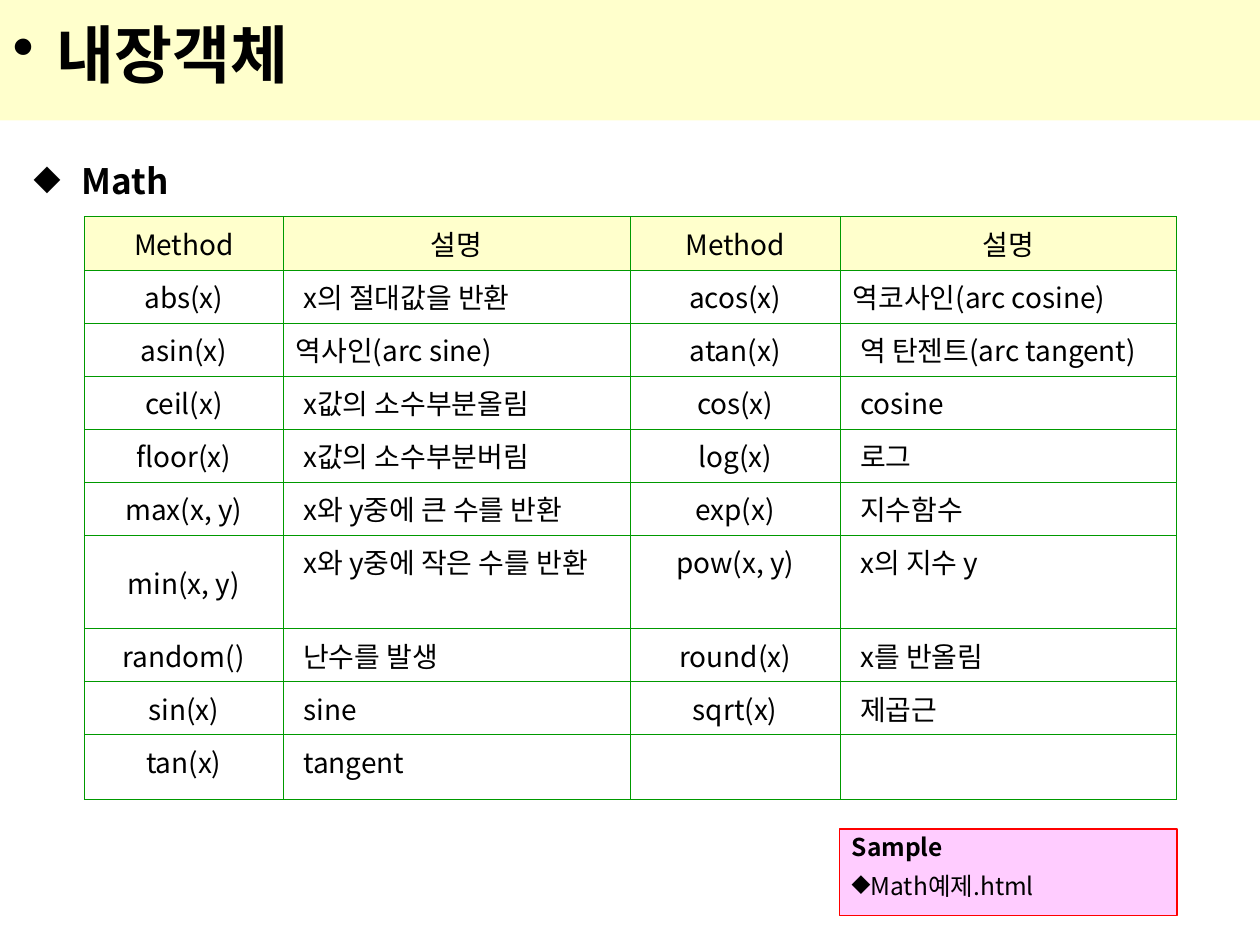
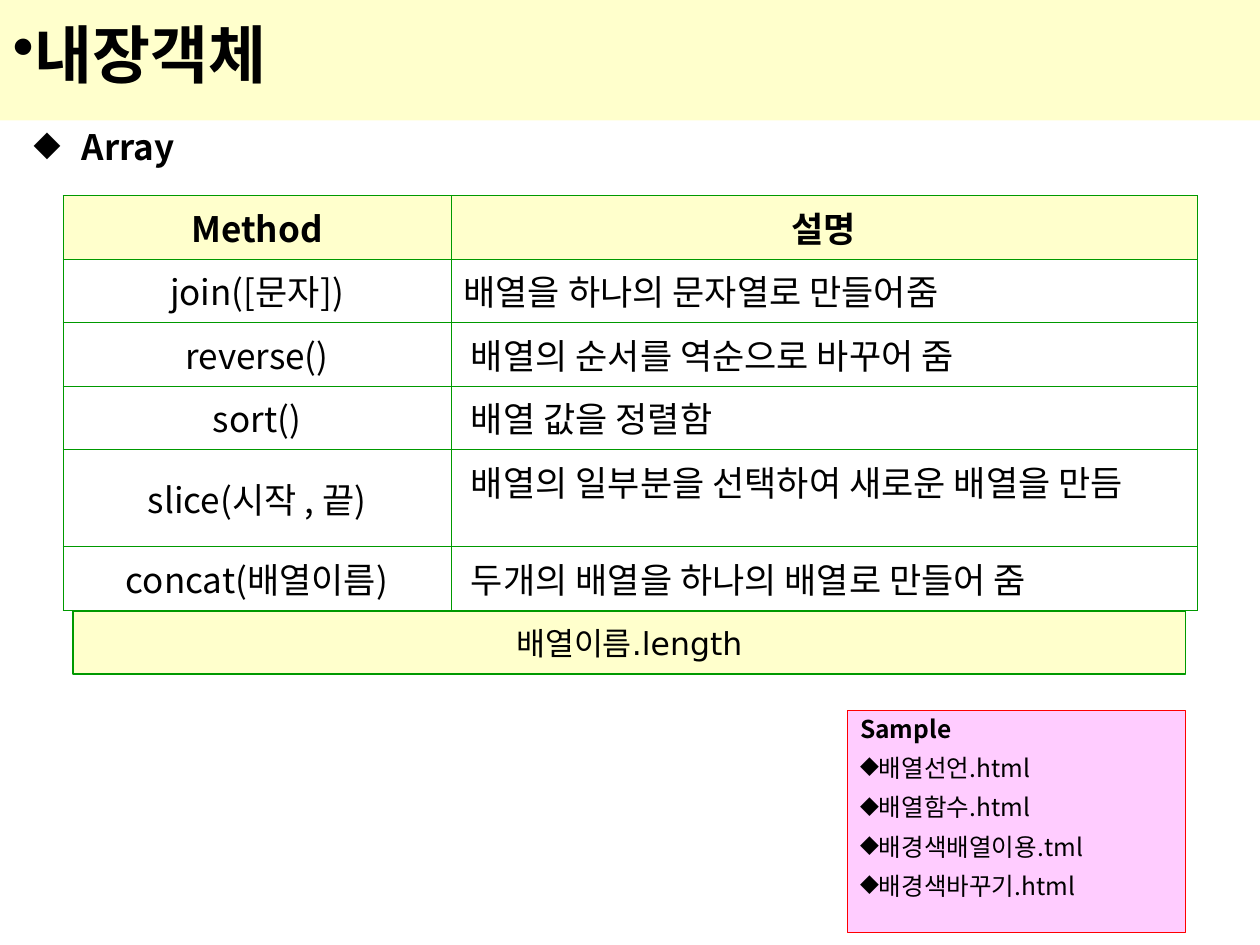
import pptx
import pptx.dml.color
import pptx.enum.shapes
import pptx.enum.text
import pptx.oxml.ns
import pptx.util
from lxml import etree

Cm = pptx.util.Cm
Pt = pptx.util.Pt
ALIGN = pptx.enum.text.PP_ALIGN
ANCHOR = pptx.enum.text.MSO_ANCHOR

# Shared look
FONT = "Noto Sans CJK KR"
BLACK, CREAM, GREEN = "000000", "FFFFCC", "009900"
PINK, RED = "FFCCFF", "FF0000"
DESCRIPTION_INDENT = 0.15

MATH_ROWS = [
    ("Method", "설명", "Method", "설명"),
    ("abs(x)", "x의 절대값을 반환", "acos(x)", "역코사인(arc cosine)"),
    ("asin(x)", "역사인(arc sine)", "atan(x)", "역 탄젠트(arc tangent)"),
    ("ceil(x)", "x값의 소수부분올림", "cos(x)", "cosine"),
    ("floor(x)", "x값의 소수부분버림", "log(x)", "로그"),
    ("max(x, y)", "x와 y중에 큰 수를 반환", "exp(x)", "지수함수"),
    ("min(x, y)", "x와 y중에 작은 수를 반환", "pow(x, y)", "x의 지수 y"),
    ("random()", "난수를 발생", "round(x)", "x를 반올림"),
    ("sin(x)", "sine", "sqrt(x)", "제곱근"),
    ("tan(x)", "tangent", "", ""),
]
ARRAY_ROWS = [
    ("Method", "설명"),
    ("join([문자])", "배열을 하나의 문자열로 만들어줌"),
    ("reverse()", "배열의 순서를 역순으로 바꾸어 줌"),
    ("sort()", "배열 값을 정렬함"),
    ("slice(시작 , 끝)", "배열의 일부분을 선택하여 새로운 배열을 만듬"),
    ("concat(배열이름)", "두개의 배열을 하나의 배열로 만들어 줌"),
]
# Descriptions that start right at the cell margin
FLUSH = {"역코사인(arc cosine)", "역사인(arc sine)", "배열을 하나의 문자열로 만들어줌"}


def rgb(value):
    return pptx.dml.color.RGBColor.from_string(value)


def sub(parent, tag, **attrs):
    return etree.SubElement(parent, pptx.oxml.ns.qn(tag), attrs)


def write(p, text, size=16, bold=False, font=FONT, align=ALIGN.LEFT,
          bullet=None, left=0, hang=0, before=None, spacing=None):
    """Fill one paragraph with formatted text."""
    pPr = p._p.get_or_add_pPr()
    pPr.set("marL", str(Cm(left)))
    pPr.set("indent", str(-Cm(hang)))
    if bullet:
        sub(sub(pPr, "a:buClr"), "a:srgbClr", val=BLACK)
        sub(pPr, "a:buChar", char=bullet)
    p.alignment = align
    if before is not None:
        p.space_before = Pt(before)
    if spacing:
        p.line_spacing = spacing
    r = p.add_run()
    r.text = text
    r.font.size = Pt(size)
    r.font.bold = bold
    r.font.color.rgb = rgb(BLACK)
    r.font.name = font
    sub(r._r.get_or_add_rPr(), "a:ea", typeface=font)


def add_title(slide, text, hang=0):
    sp = slide.shapes.title
    sp.left, sp.top, sp.width, sp.height = Cm(0), Cm(-0.08), Cm(25.4), Cm(2.51)
    sp.fill.solid()
    sp.fill.fore_color.rgb = rgb(CREAM)
    tf = sp.text_frame
    tf.auto_size = pptx.enum.text.MSO_AUTO_SIZE.NONE
    tf.vertical_anchor = ANCHOR.MIDDLE
    write(tf.paragraphs[0], text, size=36, bold=True, bullet="•",
          left=hang, hang=hang, before=0, spacing=0.9)


def add_heading(slide, text, top):
    sp = slide.shapes.add_textbox(Cm(0.43), Cm(top), Cm(24.56), Cm(15.04))
    tf = sp.text_frame
    tf.word_wrap = True
    write(tf.paragraphs[0], text, size=20, bold=True, bullet="◆",
          left=0.97, hang=0.97, spacing=0.9)


def add_box(slide, left, top, width, height, fill, line):
    sp = slide.shapes.add_shape(pptx.enum.shapes.MSO_SHAPE.RECTANGLE,
                                Cm(left), Cm(top), Cm(width), Cm(height))
    sp.shadow.inherit = False
    sp.fill.solid()
    sp.fill.fore_color.rgb = rgb(fill)
    sp.line.color.rgb = rgb(line)
    sp.line.width = Pt(0.75)
    return sp.text_frame


def add_samples(slide, left, top, height, files):
    tf = add_box(slide, left, top, 6.81, height, PINK, RED)
    tf.word_wrap = True
    tf.vertical_anchor = ANCHOR.TOP
    write(tf.paragraphs[0], "Sample", size=14, bold=True, spacing=0.9)
    for name in files:
        write(tf.add_paragraph(), name, size=14, bullet="◆",
              before=7.3, spacing=0.9)


def set_borders(cell):
    tcPr = cell._tc.get_or_add_tcPr()
    for side in "LRTB":
        ln = sub(tcPr, f"a:ln{side}", w=str(Pt(0.45)))
        sub(sub(ln, "a:solidFill"), "a:srgbClr", val=GREEN)


def add_method_table(slide, rows, left, top, widths, heights, size,
                     tall_row, bold_header=False):
    """Draw method and description columns in alternating pairs."""
    frame = slide.shapes.add_table(len(rows), len(widths), Cm(left), Cm(top),
                                   Cm(sum(widths)), Cm(sum(heights)))
    table = frame.table
    table.first_row = table.horz_banding = False
    for col, width in zip(table.columns, widths):
        col.width = Cm(width)
    for row, height in zip(table.rows, heights):
        row.height = Cm(height)
    for i, texts in enumerate(rows):
        for j, text in enumerate(texts):
            cell = table.cell(i, j)
            set_borders(cell)
            header = i == 0
            if header:
                cell.fill.solid()
                cell.fill.fore_color.rgb = rgb(CREAM)
            else:
                cell.fill.background()
            if (i, j) == (tall_row, 0):
                cell.vertical_anchor = ANCHOR.MIDDLE
            if not text:
                continue
            centred = header or j % 2 == 0
            flush = centred or text in FLUSH
            write(cell.text_frame.paragraphs[0], text, size=size,
                  bold=header and bold_header,
                  align=ALIGN.CENTER if centred else ALIGN.LEFT,
                  left=0 if flush else DESCRIPTION_INDENT)


def add_math_slide(prs):
    slide = prs.slides.add_slide(prs.slide_layouts[5])
    add_title(slide, "내장객체", hang=0.88)
    add_heading(slide, "Math", 3.18)
    heights = [1.07] * 6 + [1.88] + [1.07] * 2 + [1.3]
    add_method_table(slide, MATH_ROWS, 1.7, 4.37, [4.01, 6.99, 4.24, 6.78],
                     heights, size=16, tall_row=6)
    add_samples(slide, 16.92, 16.71, 1.75, ["Math예제.html"])


def add_array_slide(prs):
    slide = prs.slides.add_slide(prs.slide_layouts[5])
    add_title(slide, "내장객체")
    add_heading(slide, "Array", 2.51)
    heights = [1.28] * 4 + [1.96, 1.28]
    add_method_table(slide, ARRAY_ROWS, 1.27, 3.94, [7.82, 15.04],
                     heights, size=20, tall_row=4, bold_header=True)
    # Length property bar
    tf = add_box(slide, 1.47, 12.32, 22.43, 1.27, CREAM, GREEN)
    tf.word_wrap = False
    tf.vertical_anchor = ANCHOR.MIDDLE
    write(tf.paragraphs[0], "배열이름.length", size=18, font="DejaVu Sans",
          align=ALIGN.CENTER)
    add_samples(slide, 17.09, 14.33, 4.47,
                ["배열선언.html", "배열함수.html", "배경색배열이용.tml",
                 "배경색바꾸기.html"])


def main():
    prs = pptx.Presentation()
    prs.slide_width, prs.slide_height = Cm(25.4), Cm(19.05)
    add_math_slide(prs)
    add_array_slide(prs)
    prs.save("out.pptx")


if __name__ == "__main__":
    main()
